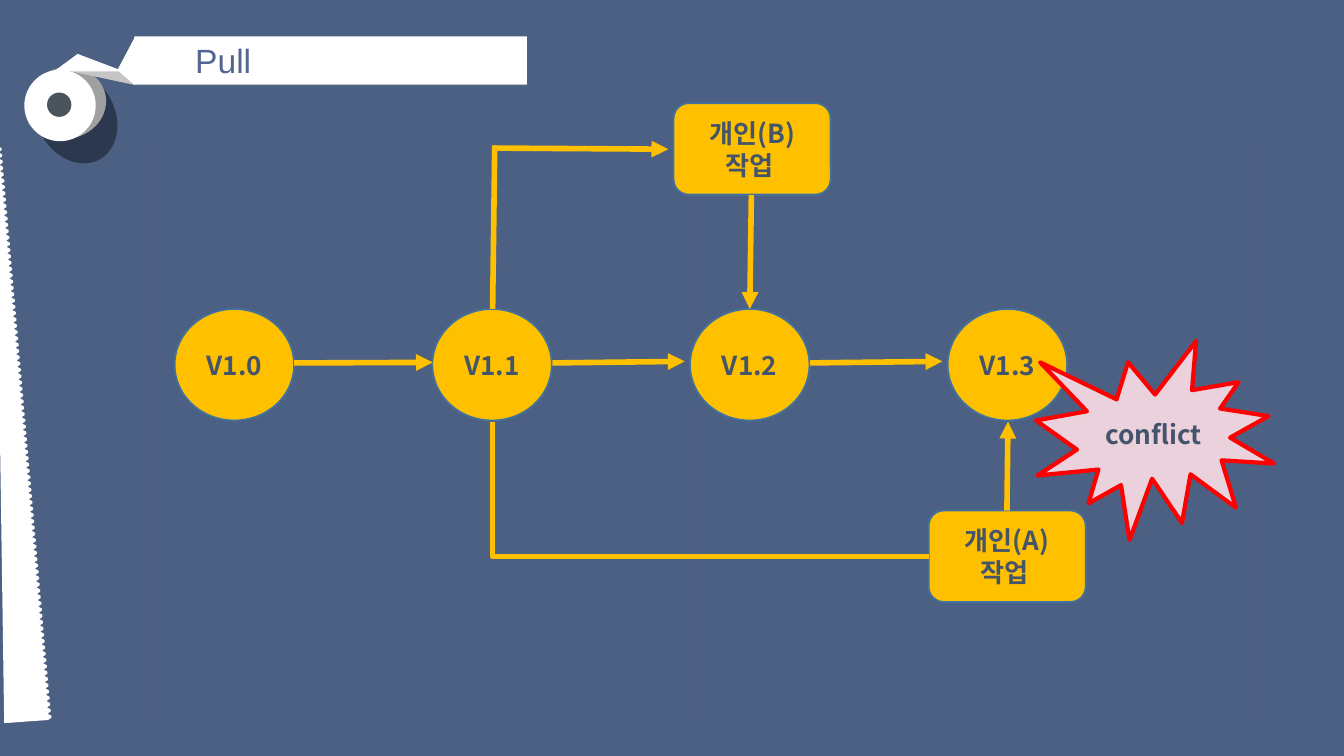
from lxml.etree import SubElement
from pptx import Presentation
from pptx.dml.color import RGBColor
from pptx.enum.dml import MSO_LINE as Dash
from pptx.enum.shapes import MSO_CONNECTOR as Link, MSO_SHAPE as Shape
from pptx.enum.text import MSO_ANCHOR as Anchor, PP_ALIGN as Align
from pptx.oxml.ns import qn
from pptx.util import Cm, Pt

COLORS = {
    "backdrop": "4C6083", "paper": "FFFFFF", "black": "000000", "roll_side": "A0A0A0",
    "core": "49545C", "fold": "C6C4C6", "title": "546591", "guide": "4E5F88",
    "gold": "FFC000", "outline": "42719B", "label": "44546A",
    "burst": "EAD1DC", "alert": "FF0000",
}
LABEL_FONT = "Noto Sans CJK KR"
TITLE = "Pull"

ROLL = [
    (Shape.OVAL, (0.51, 1.47, 1.85, 1.47), "black", 61, None, 41),
    (Shape.OVAL, (0.51, 1.27, 1.5, 1.35), "roll_side", 347, None, None),
    (Shape.OVAL, (0.46, 1.32, 1.35, 1.35), "paper", 0, None, None),
    (Shape.OVAL, (0.89, 1.75, 0.46, 0.46), "core", 0, None, None),
    (Shape.ISOSCELES_TRIANGLE, (1.24, 1.24, 1.35, 0.23), "fold", 12, 0.795, None),
    (Shape.ISOSCELES_TRIANGLE, (1.02, 1.02, 1.32, 0.33), "paper", 0, 0.34, None),
    (Shape.ISOSCELES_TRIANGLE, (1.93, 0.99, 0.91, 0.33), "paper", 270, 0.315, None),
]
BANNER = (2.54, 0.69, 7.42, 0.91)
GUIDES = [2.87, 13.14, 23.72]

VERSIONS = ["V1.0", "V1.1", "V1.2", "V1.3"]
FIRST_X, VERSION_Y, VERSION_W, VERSION_H, PITCH = 3.3, 5.84, 2.26, 2.11, 4.87
WORK = [("개인(A) 작업 ", 17.55, 9.65), ("개인(B) 작업 ", 12.73, 1.95)]
WORK_W, WORK_H = 2.97, 1.73
CONFLICT = ("conflict", (19.58, 6.45, 4.5, 3.76))

FLOWS = [
    ((5.56, 6.86), (8.18, 6.85), True),
    ((10.44, 6.86), (12.94, 6.83), True),
    ((15.31, 6.86), (17.81, 6.83), True),
    ((19.03, 9.65), (19.05, 7.97), True),
    ((9.31, 5.84), (9.35, 2.75), False),
    ((9.33, 2.8), (12.63, 2.82), True),
    ((14.2, 3.69), (14.17, 5.84), True),
]
BRANCH_START, BRANCH_END = (9.31, 7.97), (17.55, 10.52)
TEETH, TEAR_TOP, TEAR_BOTTOM = 90, (0.03, 2.8), (0.97, 13.53)

deck = Presentation()
deck.slide_width, deck.slide_height = Cm(25.4), Cm(14.29)
slide = deck.slides.add_slide(deck.slide_layouts[6])
slide.background.fill.solid()
slide.background.fill.fore_color.rgb = RGBColor.from_string(COLORS["backdrop"])


def paint(shape, fill, outline=None, width=1):
    shape.shadow.inherit = False
    shape.fill.solid()
    shape.fill.fore_color.rgb = RGBColor.from_string(COLORS[fill])
    if outline:
        shape.line.color.rgb = RGBColor.from_string(COLORS[outline])
        shape.line.width = Pt(width)
    else:
        shape.line.fill.background()


def add_part(kind, box, fill, outline=None, width=1):
    part = slide.shapes.add_shape(kind, *map(Cm, box))
    paint(part, fill, outline, width)
    return part


def write(shape, words, font, size, color, insets, align=Align.CENTER, bold=False):
    frame = shape.text_frame
    frame.word_wrap = True
    frame.vertical_anchor = Anchor.MIDDLE
    frame.margin_left = frame.margin_right = Cm(insets[0])
    frame.margin_top = frame.margin_bottom = Cm(insets[1])
    paragraph = frame.paragraphs[0]
    paragraph.text = words
    paragraph.alignment = align
    paragraph.font.name, paragraph.font.size = font, Pt(size)
    paragraph.font.bold = bold
    paragraph.font.color.rgb = RGBColor.from_string(COLORS[color])
    properties = paragraph._p.get_or_add_pPr()
    SubElement(properties.find(qn("a:defRPr")), qn("a:ea"), typeface=font)
    return properties


def add_label(shape, words, insets):
    write(shape, words, LABEL_FONT, 14, "label", insets, bold=True)


def add_line(start, end, color, width, kind=Link.STRAIGHT, arrow=False):
    line = slide.shapes.add_connector(kind, *map(Cm, (*start, *end)))
    line.line.color.rgb = RGBColor.from_string(COLORS[color])
    line.line.width = Pt(width)
    if arrow:
        SubElement(line.line._get_or_add_ln(), qn("a:tailEnd"), type="triangle")
    SubElement(line._element.spPr, qn("a:effectLst"))
    return line


for kind, box, fill, turn, peak, opacity in ROLL:
    part = add_part(kind, box, fill)
    part.rotation = turn
    if peak:
        part.adjustments[0] = peak
    if opacity:
        tint = part._element.spPr.find(qn("a:solidFill"))[0]
        SubElement(tint, qn("a:alpha"), val=str(opacity * 1000))

banner = add_part(Shape.RECTANGLE, BANNER, "paper")
title = write(banner, TITLE, "Arial", 18, "title", (0.18, 0.1), Align.LEFT)
title.set("marL", str(Cm(0.97)))
title.set("indent", "0")

for x in GUIDES:
    add_line((x, 2.77), (x, 13.61), "guide", 1.25).line.dash_style = Dash.DASH

(top_x, top_y), (bottom_x, bottom_y) = TEAR_TOP, TEAR_BOTTOM
edge = []
for tooth in range(TEETH + 1):
    x = top_x + (bottom_x - top_x) * tooth / TEETH
    y = top_y + (bottom_y - top_y) * tooth / TEETH
    edge += [(x, y), (x, y + 0.04), (x - 0.06, y + 0.08)]
outline = [(Cm(x), Cm(y)) for x, y in edge + [(0.08, 13.67), (-0.08, 2.77)]]
tear = slide.shapes.build_freeform(Cm(-0.05), Cm(2.77))
tear.add_line_segments(outline, close=True)
paint(tear.convert_to_shape(), "paper")

for words, x, y in WORK:
    add_label(add_part(Shape.ROUNDED_RECTANGLE, (x, y, WORK_W, WORK_H), "gold", "outline"),
              words, (0.18, 0.1))
for step, version in enumerate(VERSIONS):
    box = (FIRST_X + step * PITCH, VERSION_Y, VERSION_W, VERSION_H)
    add_label(add_part(Shape.OVAL, box, "gold", "outline"), version, (0.25, 0.25))

for start, end, arrow in FLOWS:
    add_line(start, end, "gold", 3, arrow=arrow)

(start_x, start_y), (end_x, end_y) = BRANCH_START, BRANCH_END
center_x, center_y = (start_x + end_x) / 2, (start_y + end_y) / 2
half_run, half_drop = (end_x - start_x) / 2, (end_y - start_y) / 2
branch = add_line((center_x + half_drop, center_y - half_run),
                  (center_x - half_drop, center_y + half_run), "gold", 3, Link.ELBOW)
branch._element.spPr.find(qn("a:prstGeom")).set("prst", "bentConnector2")
branch._element.spPr.find(qn("a:xfrm")).set("rot", str(270 * 60000))

words, box = CONFLICT
add_label(add_part(Shape.EXPLOSION1, box, "burst", "alert", 2.25), words, (0.25, 0.25))

deck.save("out.pptx")
